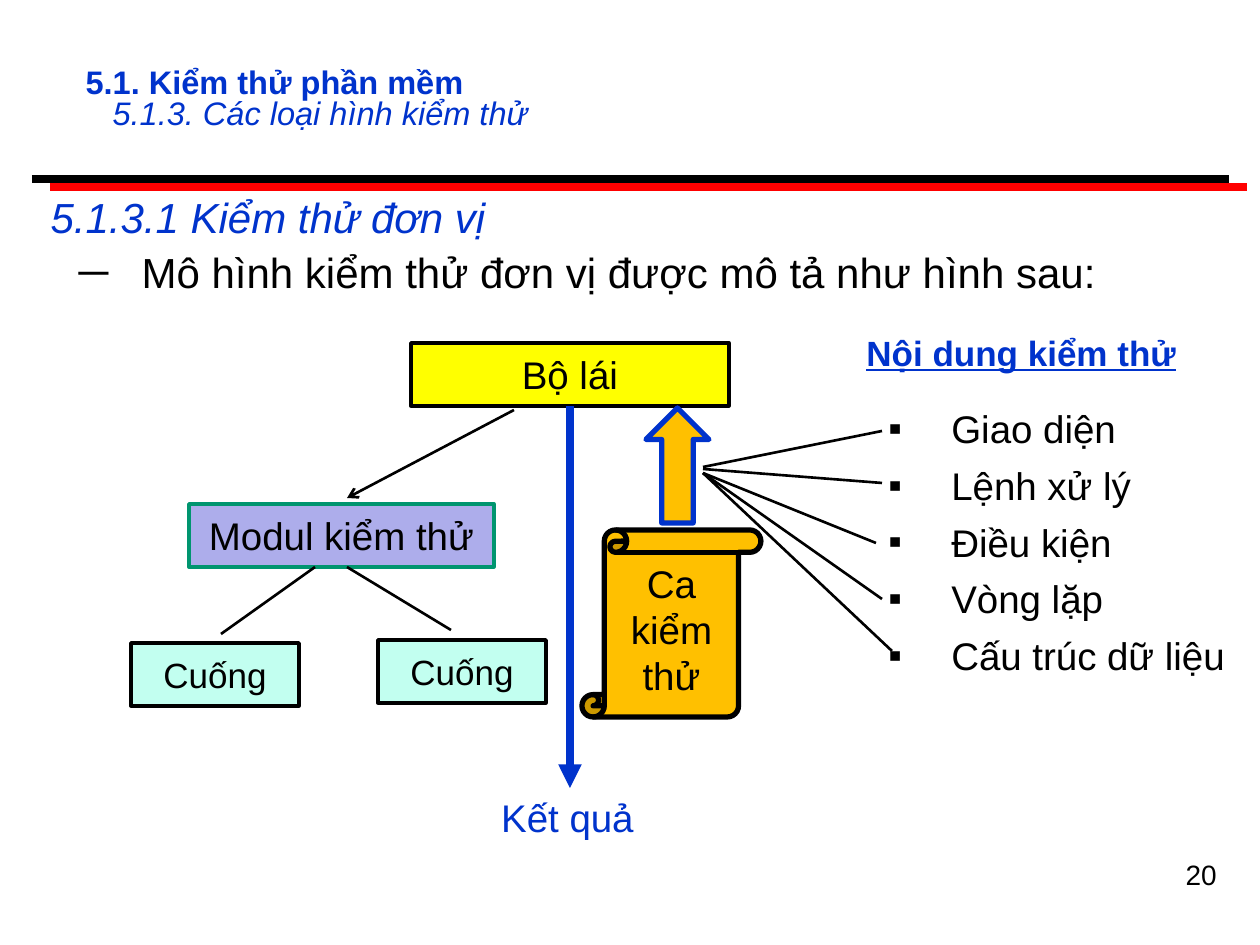
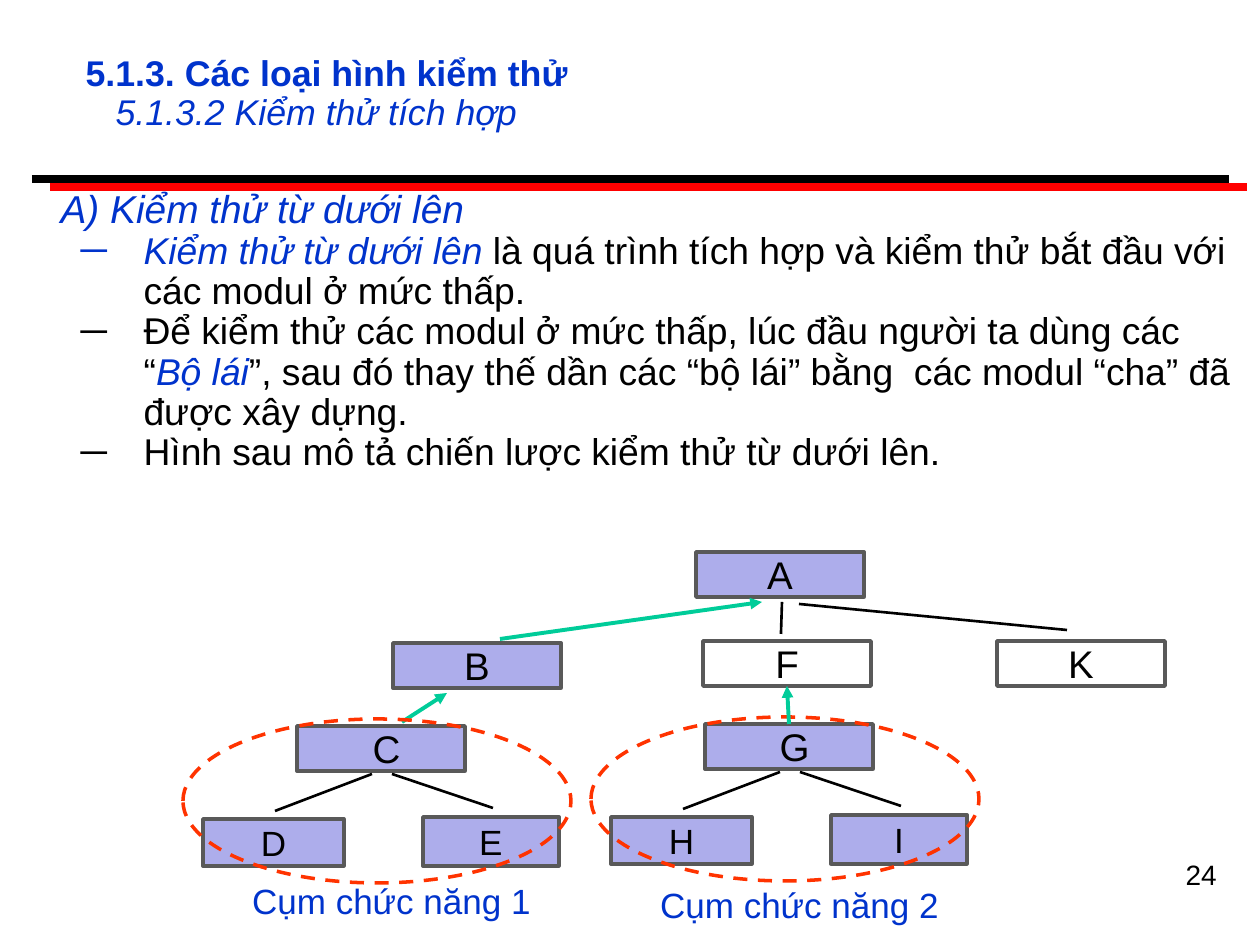
"""Builds two slides on unit testing and bottom-up integration testing."""
import pptx
import pptx.dml.color
import pptx.enum.dml
import pptx.enum.shapes
import pptx.enum.text
import pptx.oxml.ns
import pptx.util
from lxml import etree

SHAPE = pptx.enum.shapes.MSO_SHAPE
ALIGN = pptx.enum.text.PP_ALIGN
ANCHOR = pptx.enum.text.MSO_ANCHOR

BLUE, BLACK, RED, YELLOW, AMBER = "0033CC", "000000", "FF0000", "FFFF00", "FFC000"
LILAC, MINT, TEAL, GREEN, GREY, ORANGE = "ADADEB", "C2FFF0", "00956F", "00CC99", "595959", "FF3300"

BANDS = [((32, 179), (1229, 179), BLACK), ((50, 187), (1247, 187), RED)]

UNIT = {
    "number": "20",
    "title": ("5.1. Kiểm thử phần mềm", "5.1.3. Các loại hình kiểm thử"),
    "title_at": (73, 53, 1144, 95), "title_size": 18.6, "title_spacing": 0.8, "title_indent": 27,
    "heading": "5.1.3.1 Kiểm thử đơn vị", "heading_size": 24, "heading_indent": 35,
    "points": [[("Mô hình kiểm thử đơn vị được mô tả như hình sau:", False)]],
    "points_size": 24, "points_spacing": 1, "points_gap": 3,
    "body_at": (3, 185, 1239, 118),
}
INTEGRATION = {
    "number": "24",
    "title": ("5.1.3. Các loại hình kiểm thử", "5.1.3.2 Kiểm thử tích hợp"),
    "title_at": (73, 42, 1144, 105), "title_size": 20.4, "title_spacing": 0.9, "title_indent": 30,
    "heading": "A) Kiểm thử từ dưới lên", "heading_size": 22.2, "heading_indent": 43,
    "points": [
        [("Kiểm thử từ dưới lên", True),
         (" là quá trình tích hợp và kiểm thử bắt đầu với các modul ở mức thấp.", False)],
        [("Để kiểm thử các modul ở mức thấp, lúc đầu người ta dùng các “", False), ("Bộ lái", True),
         ("”, sau đó thay thế dần các “bộ lái” bằng  các modul “cha” đã được xây dựng.", False)],
        [("Hình sau mô tả chiến lược kiểm thử từ dưới lên.", False)],
    ],
    "points_size": 21.3, "points_spacing": 0.9, "points_gap": 0,
    "body_at": (5, 184, 1239, 352),
}

UNIT_BOXES = [
    ("Modul kiểm thử", (189, 504, 305, 63), LILAC, TEAL, 22),
    ("Cuống", (131, 643, 168, 63), MINT, BLACK, 20),
    ("Cuống", (378, 640, 168, 63), MINT, BLACK, 20),
]
UNIT_BRANCHES = [((315, 567), (221, 634)), ((347, 567), (451, 630))]
CHECKS_TITLE = "Nội dung kiểm thử"
CHECKS = [
    ("Giao diện", (703, 467), (882, 431)),
    ("Lệnh xử lý", (703, 469), (882, 483)),
    ("Điều kiện", (703, 473), (876, 543)),
    ("Vòng lặp", (703, 473), (882, 599)),
    ("Cấu trúc dữ liệu", (703, 473), (892, 651)),
]

UPPER_MODULES = [("A", (696, 552), LILAC), ("B", (393, 643), LILAC),
                 ("F", (703, 641), None), ("K", (997, 641), None)]
UPPER_BRANCHES = [((782, 602), (781, 634)), ((799, 604), (1067, 630))]
REPLACEMENTS = [((500, 639), (762, 602)), ((402, 722), (447, 693))]
CLUSTERS = [("C", "D", "E", "Cụm chức năng 1", 873), ("G", "H", "I", "Cụm chức năng 2", 877)]
CLUSTER_STEP = (408, -2)


def px(length):
    return pptx.util.Emu(round(length * 914400 / 126))


def rgb(hex_colour):
    return pptx.dml.color.RGBColor.from_string(hex_colour)


def style(font, size, colour, bold=False, italic=False, underline=False):
    font.name, font.size = "Arial", pptx.util.Pt(size)
    font.bold, font.italic, font.underline = bold, italic, underline
    font.color.rgb = rgb(colour)


def set_indent(paragraph, left, hanging=0, bullet=None, colour=BLACK):
    properties = paragraph._p.get_or_add_pPr()
    properties.set("marL", str(px(left)))
    properties.set("indent", str(-px(hanging)))
    qn = pptx.oxml.ns.qn
    if bullet:
        tint = etree.SubElement(properties, qn("a:buClr"))
        etree.SubElement(tint, qn("a:srgbClr"), val=colour)
        etree.SubElement(properties, qn("a:buFont"), typeface="Arial")
        etree.SubElement(properties, qn("a:buChar"), char=bullet)
    else:
        etree.SubElement(properties, qn("a:buNone"))


def add_paragraph(frame, first=False, spacing=1, gap=0, align=ALIGN.LEFT):
    paragraph = frame.paragraphs[0] if first else frame.add_paragraph()
    paragraph.line_spacing, paragraph.space_before = spacing, pptx.util.Pt(0 if first else gap)
    paragraph.alignment = align
    return paragraph


def place(placeholder, at, anchor):
    placeholder.left, placeholder.top, placeholder.width, placeholder.height = map(px, at)
    frame = placeholder.text_frame
    frame.auto_size = pptx.enum.text.MSO_AUTO_SIZE.NONE
    frame.word_wrap, frame.vertical_anchor = True, anchor
    return frame


def add_label(slide, text, at, size, colour, align=ALIGN.CENTER, **emphasis):
    frame = slide.shapes.add_textbox(*map(px, at)).text_frame
    frame.word_wrap = True
    paragraph = add_paragraph(frame, first=True, align=align)
    paragraph.text = text
    style(paragraph.font, size, colour, **emphasis)


def add_figure(slide, kind, at, fill, line, width=2, text="", size=22, shift=0):
    figure = slide.shapes.add_shape(kind, *map(px, at))
    figure.shadow.inherit = False
    if fill:
        figure.fill.solid()
        figure.fill.fore_color.rgb = rgb(fill)
    else:
        figure.fill.background()
    figure.line.color.rgb, figure.line.width = rgb(line), pptx.util.Pt(width)
    if text:
        frame = figure.text_frame
        frame.word_wrap, frame.vertical_anchor = True, ANCHOR.MIDDLE
        frame.margin_left += px(shift)
        paragraph = add_paragraph(frame, first=True, align=ALIGN.CENTER)
        paragraph.text = text
        style(paragraph.font, size, BLACK)
    return figure


def add_line(slide, start, end, colour=BLACK, width=1.5, arrow=None):
    line = slide.shapes.add_connector(pptx.enum.shapes.MSO_CONNECTOR.STRAIGHT, *map(px, start + end))
    line.line.color.rgb, line.line.width = rgb(colour), pptx.util.Pt(width)
    qn = pptx.oxml.ns.qn
    if arrow:
        etree.SubElement(line.line._get_or_add_ln(), qn("a:tailEnd"), type=arrow)
    etree.SubElement(line._element.spPr, qn("a:effectLst"))
    return line


def add_slide(deck, content):
    slide = deck.slides.add_slide(deck.slide_layouts[1])
    for start, end, colour in BANDS:
        add_line(slide, start, end, colour, 4.5)
    add_label(slide, content["number"], (935, 851, 294, 66), 16, BLACK, ALIGN.RIGHT)

    title = place(slide.shapes.title, content["title_at"], ANCHOR.MIDDLE)
    for row, text in enumerate(content["title"]):
        paragraph = add_paragraph(title, row == 0, content["title_spacing"])
        paragraph.text = text
        set_indent(paragraph, row * content["title_indent"])
        style(paragraph.font, content["title_size"], BLUE, bold=row == 0, italic=row == 1)

    body = place(slide.placeholders[1], content["body_at"], ANCHOR.TOP)
    heading = add_paragraph(body, True, content["points_spacing"])
    heading.text = content["heading"]
    set_indent(heading, content["heading_indent"])
    style(heading.font, content["heading_size"], BLUE, italic=True)
    for point in content["points"]:
        paragraph = add_paragraph(body, False, content["points_spacing"], content["points_gap"])
        paragraph.level = 1
        set_indent(paragraph, 126, 63, "─", BLUE if point[0][1] else BLACK)
        style(paragraph.font, content["points_size"], BLACK)
        for text, stressed in point:
            run = paragraph.add_run()
            run.text = text
            if stressed:
                style(run.font, content["points_size"], BLUE, italic=True)
    return slide


def draw_unit_model(slide):
    for text, at, fill, line, size in UNIT_BOXES:
        add_figure(slide, SHAPE.RECTANGLE, at, fill, line, text=text, size=size)
    driver = add_figure(slide, SHAPE.RECTANGLE, (411, 343, 318, 63), YELLOW, BLACK, text="Bộ lái")
    add_line(slide, (514, 410), (347, 498), arrow="arrow")
    for start, end in UNIT_BRANCHES:
        add_line(slide, start, end)
    result = add_line(slide, (570, 406), (570, 788), BLUE, 4.5, "triangle")
    result.begin_connect(driver, 2)
    add_figure(slide, SHAPE.VERTICAL_SCROLL, (582, 530, 179, 187), AMBER, BLACK, 3, "Ca kiểm thử")
    add_figure(slide, SHAPE.UP_ARROW, (646, 408, 63, 115), AMBER, BLUE, 3)
    add_label(slide, "Kết quả", (473, 788, 189, 59), 22, BLUE)


def draw_checks(slide):
    add_label(slide, CHECKS_TITLE, (854, 325, 347, 55), 20, BLUE, ALIGN.LEFT, bold=True, underline=True)
    checks = slide.shapes.add_textbox(*map(px, (876, 399, 363, 286))).text_frame
    checks.word_wrap = True
    for row, (text, start, end) in enumerate(CHECKS):
        paragraph = add_paragraph(checks, row == 0, gap=6)
        paragraph.text = text
        set_indent(paragraph, 63, 63, "▪")
        style(paragraph.font, 22, BLACK)
        add_line(slide, start, end)


def draw_cluster(slide, column, root, left, right, caption, caption_top):
    dx, dy = (column * step for step in CLUSTER_STEP)
    top = add_figure(slide, SHAPE.RECTANGLE, (297 + dx, 726 + dy, 168, 45), LILAC, GREY, text=root, shift=11)
    for text, (x, y, width, height) in ((left, (203, 819, 141, 47)), (right, (423, 817, 136, 49))):
        add_figure(slide, SHAPE.RECTANGLE, (x + dx, y + dy, width, height), LILAC, GREY, text=text, size=20)
    for start_x, end_x, end_y in ((372, 275, 811), (392, 493, 808)):
        add_line(slide, (start_x + dx, 774 + dy), (end_x + dx, end_y + dy))
    add_label(slide, caption, (234 + dx, caption_top, 315, 55), 20, BLUE)
    outline = add_figure(slide, SHAPE.OVAL, (183 + dx, 719 + dy, 388, 164), None, ORANGE)
    outline.line.dash_style = pptx.enum.dml.MSO_LINE.DASH
    return top


def draw_module_tree(slide):
    modules = {}
    for name, corner, fill in UPPER_MODULES:
        modules[name] = add_figure(slide, SHAPE.RECTANGLE, corner + (168, 45), fill, GREY, text=name)
    for start, end in UPPER_BRANCHES:
        add_line(slide, start, end)
    for start, end in REPLACEMENTS:
        add_line(slide, start, end, GREEN, 2.25, "triangle")
    for column, cluster in enumerate(CLUSTERS):
        modules[cluster[0]] = draw_cluster(slide, column, *cluster)
    rise = add_line(slide, (789, 724), (787, 686), GREEN, 2.25, "triangle")
    rise.begin_connect(modules["G"], 0)
    rise.end_connect(modules["F"], 2)


def main():
    deck = pptx.Presentation()
    deck.slide_width, deck.slide_height = px(1260), px(945)
    unit = add_slide(deck, UNIT)
    draw_unit_model(unit)
    draw_checks(unit)
    draw_module_tree(add_slide(deck, INTEGRATION))
    deck.save("out.pptx")


if __name__ == "__main__":
    main()
